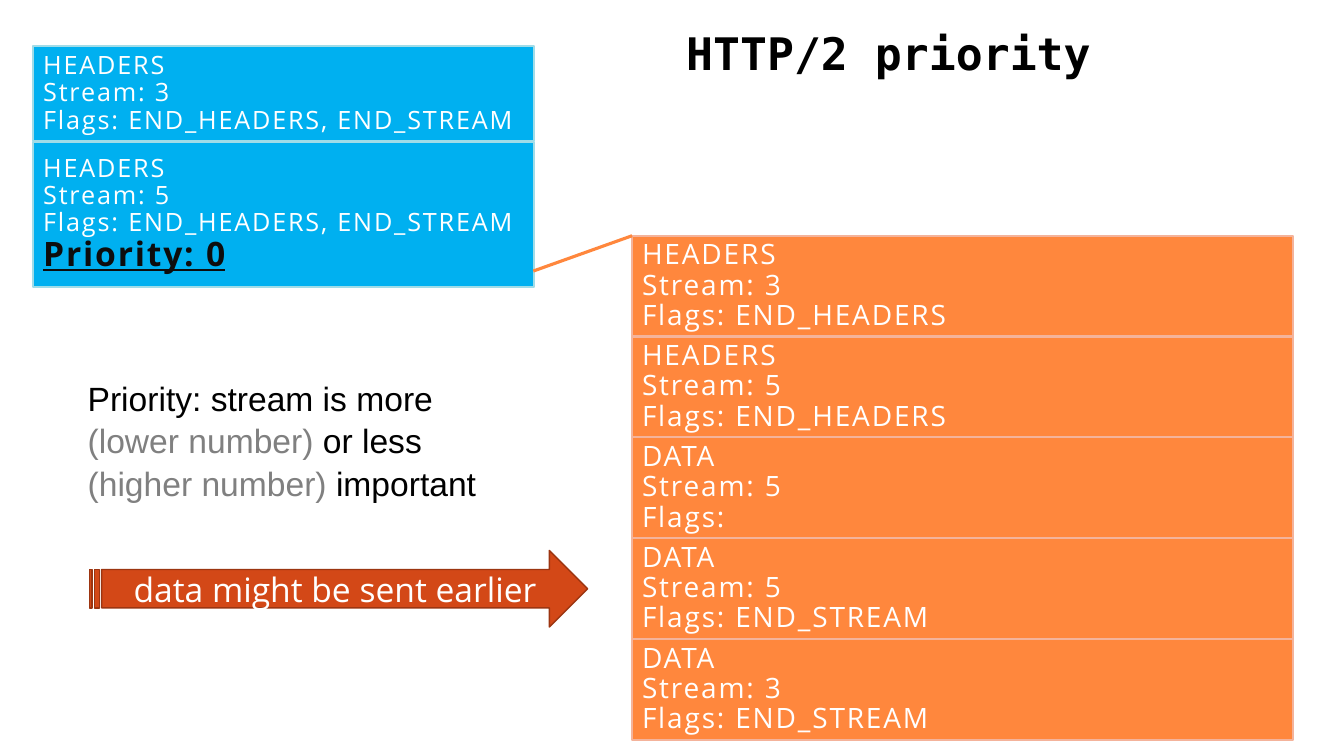
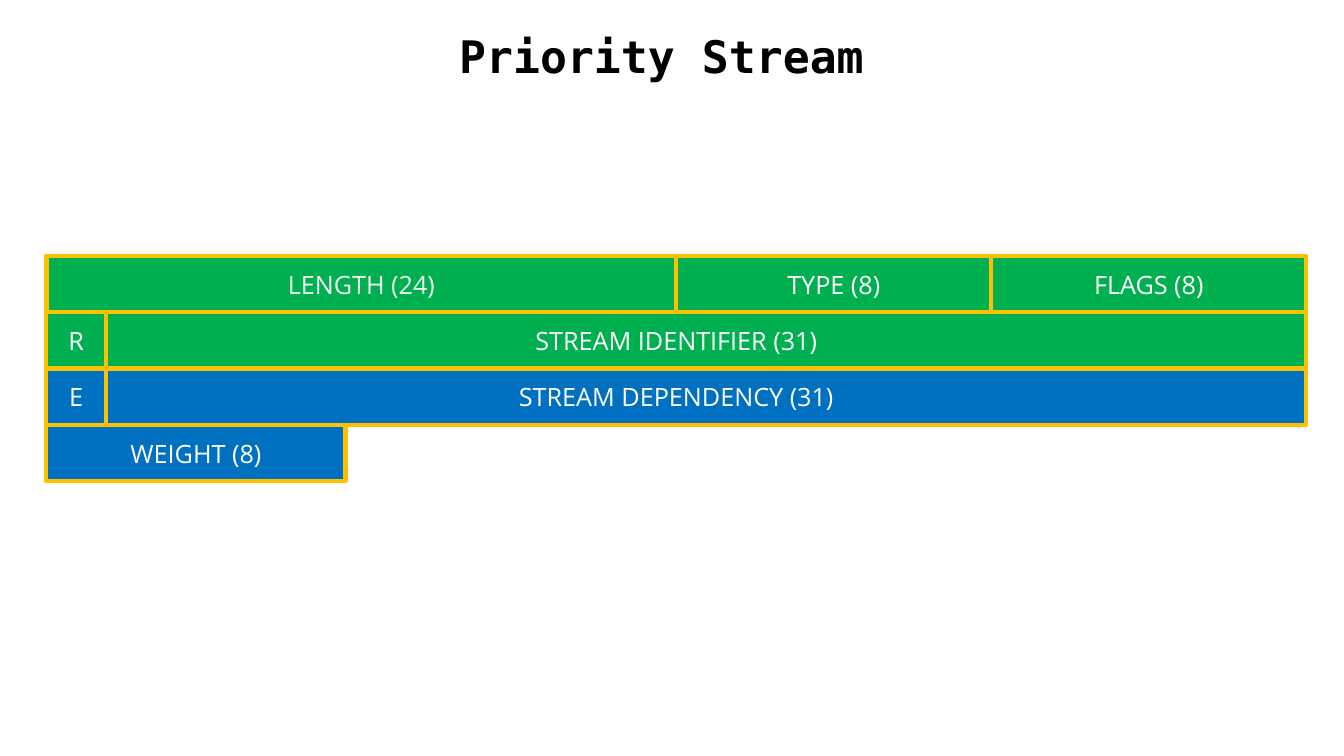
from dataclasses import dataclass, field

import pptx
import pptx.dml.color
import pptx.enum.shapes
import pptx.enum.text
import pptx.oxml.ns
import pptx.shapes.autoshape
import pptx.slide
import pptx.text.text
import pptx.util
from lxml import etree

Cm, Pt = pptx.util.Cm, pptx.util.Pt
Shape = pptx.enum.shapes.MSO_SHAPE
Align = pptx.enum.text.PP_ALIGN
Anchor = pptx.enum.text.MSO_ANCHOR

COLORS = {
    "black": "000000", "white": "FFFFFF", "pale": "F2F2F2", "gray": "808080",
    "ink": "0D0D0D", "sky": "00B0F0", "ice": "A0DCE8", "orange": "FF873D",
    "peach": "F4B39B", "rust": "D34817", "brown": "9C3511",
    "green": "00B050", "blue": "0070C0", "gold": "FFC000",
}

# Text formats
TITLE = {"name": "DejaVu Sans Mono", "size": Pt(32), "bold": True}
SMALL = {"name": "Open Sans", "size": Pt(18)}
MID = {"name": "Open Sans", "size": Pt(20)}
LARGE = {"name": "Open Sans", "size": Pt(24)}
STRONG = {**LARGE, "bold": True, "underline": True}
NOTE = {"name": "Arial", "size": Pt(24)}


@dataclass
class Line:
    text: str
    font: dict
    color: str = "white"
    track: float = 0


@dataclass
class Box:
    left: float
    top: float
    width: float
    height: float
    fill: str
    edge: str
    lines: list[Line] = field(default_factory=list)
    weight: float = 1.5
    align: Align = Align.LEFT
    space: float = 1.0
    kind: Shape = Shape.RECTANGLE


@dataclass
class Field:
    text: str
    left: float
    row: int
    width: float
    fill: str
    color: str = "white"


def rgb(name: str) -> pptx.dml.color.RGBColor:
    return pptx.dml.color.RGBColor.from_string(COLORS[name])


def add_run(para: pptx.text.text._Paragraph, line: Line) -> None:
    run = para.add_run()
    run.text = line.text
    for key, value in line.font.items():
        setattr(run.font, key, value)
    run.font.color.rgb = rgb(line.color)
    if line.track:
        run.font._element.set("spc", str(round(line.track * 100)))


def add_slide(deck, text: str, left: float, top: float) -> pptx.slide.Slide:
    slide = deck.slides.add_slide(deck.slide_layouts[5])
    title = slide.shapes.title
    place = {"left": left, "top": top, "width": 19.23, "height": 1.63}
    for key, value in place.items():
        setattr(title, key, Cm(value))
    frame = title.text_frame
    frame.auto_size = pptx.enum.text.MSO_AUTO_SIZE.NONE
    frame.vertical_anchor = Anchor.MIDDLE
    para = frame.paragraphs[0]
    para.alignment = Align.CENTER
    add_run(para, Line(text, TITLE, "black"))
    return slide


def add_box(slide: pptx.slide.Slide, box: Box) -> pptx.shapes.autoshape.Shape:
    shape = slide.shapes.add_shape(
        box.kind, Cm(box.left), Cm(box.top), Cm(box.width), Cm(box.height))
    shape.shadow.inherit = False
    shape.fill.solid()
    shape.fill.fore_color.rgb = rgb(box.fill)
    shape.line.color.rgb = rgb(box.edge)
    shape.line.width = Pt(box.weight)
    frame = shape.text_frame
    frame.word_wrap = True
    frame.vertical_anchor = Anchor.MIDDLE
    for index, line in enumerate(box.lines):
        para = frame.add_paragraph() if index else frame.paragraphs[0]
        para.alignment = box.align
        para.line_spacing = box.space
        add_run(para, line)
    return shape


def add_frame(slide: pptx.slide.Slide, place: tuple, look: tuple,
              font: dict, texts: tuple, extra: tuple = ()) -> None:
    """Draw one protocol frame, with its header lines."""
    lines = [Line(text, font, track=1.3) for text in texts]
    add_box(slide, Box(*place, *look, [*lines, *extra], space=0.9))


def add_link(slide: pptx.slide.Slide, start: tuple, end: tuple) -> None:
    link = slide.shapes.add_connector(
        pptx.enum.shapes.MSO_CONNECTOR.STRAIGHT,
        *(Cm(value) for value in (*start, *end)))
    link.line.color.rgb = rgb("orange")
    link.line.width = Pt(2.25)
    etree.SubElement(link._element.spPr, pptx.oxml.ns.qn("a:effectLst"))


def draw_frames(deck) -> None:
    slide = add_slide(deck, "HTTP/2 priority", 12.78, 0.51)

    # Request frames
    ends = "Flags: END_HEADERS, END_STREAM"
    rank = Line("Priority: 0", STRONG, "ink", 1.3)
    asks = [(3, 1.17, 2.39, ()), (5, 3.58, 3.66, (rank,))]
    for stream, top, height, extra in asks:
        add_frame(slide, (0.84, top, 12.62, height), ("sky", "ice"), SMALL,
                  ("HEADERS", f"Stream: {stream}", ends), extra)

    # Reply frames
    left, top, height = 15.93, 5.94, 2.54
    replies = [
        ("HEADERS", 3, "Flags: END_HEADERS"),
        ("HEADERS", 5, "Flags: END_HEADERS"),
        ("DATA", 5, "Flags:"),
        ("DATA", 5, "Flags: END_STREAM"),
        ("DATA", 3, "Flags: END_STREAM"),
    ]
    for index, (kind, stream, flags) in enumerate(replies):
        add_frame(slide, (left, top + index * height, 16.66, height),
                  ("orange", "peach"), MID,
                  (kind, f"Stream: {stream}", flags))
    add_link(slide, (13.44, 6.83), (left, top))

    # Note on priority
    note = slide.shapes.add_textbox(Cm(1.96), Cm(9.35), Cm(10.82), Cm(3.33))
    note.text_frame.word_wrap = True
    para = note.text_frame.paragraphs[0]
    para.line_spacing = 1.05
    parts = [
        ("Priority: stream is more ", "black"), ("(lower number) ", "gray"),
        ("or less ", "black"), ("(higher number) ", "gray"),
        ("important", "black"),
    ]
    for text, color in parts:
        add_run(para, Line(text, NOTE, color))

    # Arrow
    add_box(slide, Box(2.26, 13.87, 12.55, 1.93, "rust", "brown",
                       [Line("data might be sent earlier", LARGE)], 1,
                       Align.CENTER, kind=Shape.STRIPED_RIGHT_ARROW))


def draw_fields(deck) -> None:
    slide = add_slide(deck, "Priority Stream", 7.06, 0.58)

    # Field grid; the one-bit fields lie over the full rows
    left, top, height, full, bit = 1.17, 6.45, 1.42, 31.75, 1.5
    half, part = full / 2, full / 4
    fields = [
        Field("STREAM IDENTIFIER (31)", 0, 1, full, "green"),
        Field("LENGTH (24)", 0, 0, half, "green", "pale"),
        Field("R", 0, 1, bit, "green"),
        Field("TYPE (8)", half, 0, part, "green"),
        Field("FLAGS (8)", half + part, 0, part, "green"),
        Field("STREAM DEPENDENCY (31)", 0, 2, full, "blue"),
        Field("E", 0, 2, bit, "blue"),
        Field("WEIGHT (8)", 0, 3, 7.54, "blue"),
    ]
    for item in fields:
        add_box(slide, Box(left + item.left, top + item.row * height,
                           item.width, height, item.fill, "gold",
                           [Line(item.text, SMALL, item.color)], 3,
                           Align.CENTER))


def main() -> None:
    deck = pptx.Presentation()
    deck.slide_width, deck.slide_height = Cm(33.87), Cm(19.05)
    draw_frames(deck)
    draw_fields(deck)
    deck.save("out.pptx")


if __name__ == "__main__":
    main()
